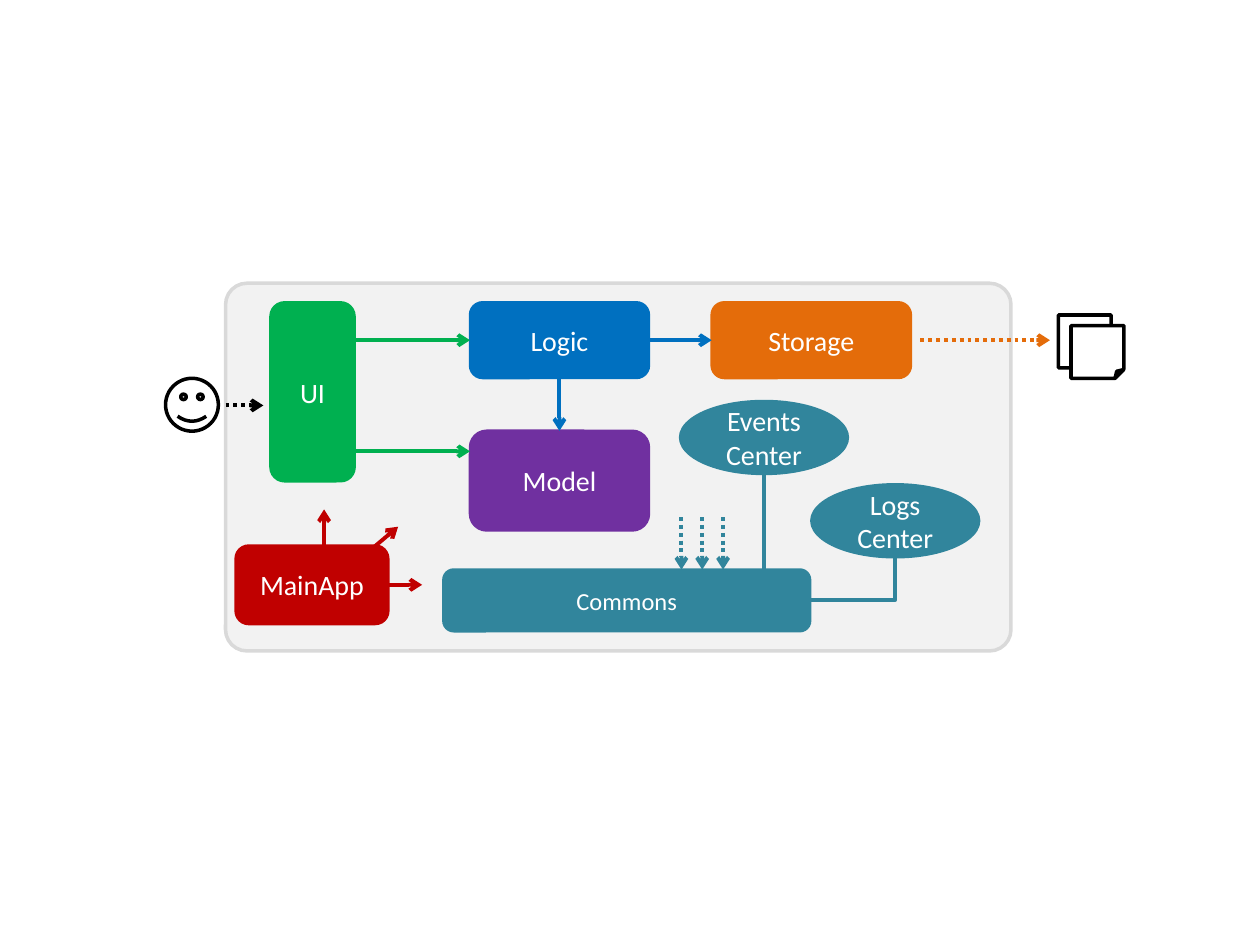
from pptx import Presentation
from pptx.dml.color import RGBColor
from pptx.enum.dml import MSO_LINE
from pptx.enum.shapes import MSO_CONNECTOR, MSO_SHAPE
from pptx.enum.text import MSO_ANCHOR, PP_ALIGN
from pptx.oxml.ns import qn
from pptx.util import Pt
from lxml import etree

ROUNDED, OVAL = MSO_SHAPE.ROUNDED_RECTANGLE, MSO_SHAPE.OVAL
SMILEY, FOLDED = MSO_SHAPE.SMILEY_FACE, MSO_SHAPE.FOLDED_CORNER
STRAIGHT, ELBOW = MSO_CONNECTOR.STRAIGHT, MSO_CONNECTOR.ELBOW
DOTTED = MSO_LINE.ROUND_DOT
CENTER, MIDDLE = PP_ALIGN.CENTER, MSO_ANCHOR.MIDDLE

COLORS = {
    "panel": "F2F2F2", "panel edge": "D9D9D9", "white": "FFFFFF", "black": "000000",
    "ui": "00B050", "logic": "0070C0", "storage": "E46C0A",
    "model": "7030A0", "commons": "31859C", "main": "C00000",
}

# Text, preset, color, font size, (left, top, width, height)
COMPONENTS = [
    ("UI", ROUNDED, "ui", 16, (154.6, 172.8, 48, 102.2)),
    ("Logic", ROUNDED, "logic", 16, (268.6, 172.8, 102.2, 43.2)),
    ("Storage", ROUNDED, "storage", 16, (406.7, 172.8, 113.8, 43.2)),
    ("Model", ROUNDED, "model", 16, (268.6, 246.2, 102.2, 56.9)),
    ("Commons", ROUNDED, "commons", 14, (253.4, 325.5, 209.5, 35.2)),
    ("MainApp", ROUNDED, "main", 16, (134.7, 311.8, 87.2, 44.8)),
    ("Events Center", OVAL, "commons", 16, (388.7, 229.2, 95.8, 41.6)),
    ("Logs\vCenter", OVAL, "commons", 16, (463.7, 276.8, 95.8, 41.6)),
]

ICON_SIZE = 30.2
ICONS = [(SMILEY, 94.6, 216.2), (FOLDED, 604.8, 180), (FOLDED, 612, 186)]

# Color, start, end
SOLID_ARROWS = [
    ("ui", (202.6, 194.4), (268.6, 194.4)),
    ("ui", (202.6, 257.9), (268.6, 257.9)),
    ("logic", (319.7, 216), (319.7, 246.2)),
    ("logic", (370.8, 194.4), (406.7, 194.4)),
    ("main", (221.9, 334.2), (241.2, 334.2)),
    ("main", (204.5, 320.4), (227.5, 301)),
    ("main", (185.2, 314.6), (185.2, 291.1)),
]
DOTTED_ARROWS = [
    ("black", (128.9, 231.7), (150.5, 231.7)),
    ("storage", (526, 194.4), (600, 194.4)),
] + [("commons", (389.4 + 11.9 * i, 295.5), (389.4 + 11.9 * i, 325.5)) for i in range(3)]

EVENTS_LINK = ((436.6, 270.8), (436.6, 325.5))
LOGS_LINK = ((511.6, 318.4), (462.9, 342.8))


def rgb(name):
    """Return the palette color with this name."""
    return RGBColor.from_string(COLORS[name])


def add_box(slide, preset, frame, fill, line, weight):
    """Add a filled and outlined preset shape."""
    shape = slide.shapes.add_shape(preset, *map(Pt, frame))
    shape.shadow.inherit = False
    shape.fill.solid()
    shape.fill.fore_color.rgb = rgb(fill)
    shape.line.color.rgb = rgb(line)
    shape.line.width = Pt(weight)
    return shape


def write_text(shape, text, size, color="white", font="Calibri"):
    """Write centered text into a shape."""
    frame = shape.text_frame
    frame.word_wrap = True
    frame.vertical_anchor = MIDDLE
    paragraph = frame.paragraphs[0]
    paragraph.text = text
    paragraph.alignment = CENTER
    for run in paragraph.runs:
        run.font.name = font
        run.font.size = Pt(size)
        run.font.color.rgb = rgb(color)


def add_line(slide, color, start, end, kind=STRAIGHT, arrow=True, dash=None):
    """Add a connector, with an optional arrowhead and dash."""
    connector = slide.shapes.add_connector(kind, *map(Pt, start + end))
    connector.line.color.rgb = rgb(color)
    connector.line.width = Pt(2.25)
    if dash:
        connector.line.dash_style = dash
    properties = connector._element.spPr
    if arrow:
        etree.SubElement(properties.find(qn("a:ln")), qn("a:tailEnd"), type="arrow")
    etree.SubElement(properties, qn("a:effectLst"))
    return connector


def add_corner(slide, color, start, end):
    """Add a one-bend connector that runs down, then left."""
    (x1, y1), (x2, y2) = start, end
    middle_x, middle_y = (x1 + x2) / 2, (y1 + y2) / 2
    half_width, half_height = (y2 - y1) / 2, (x1 - x2) / 2
    connector = add_line(
        slide, color,
        (middle_x - half_width, middle_y - half_height),
        (middle_x + half_width, middle_y + half_height),
        kind=ELBOW, arrow=False)
    properties = connector._element.spPr
    properties.find(qn("a:xfrm")).set("rot", str(90 * 60000))
    properties.find(qn("a:prstGeom")).set("prst", "bentConnector2")


def build():
    """Build and save the architecture slide."""
    presentation = Presentation()
    presentation.slide_width, presentation.slide_height = Pt(720), Pt(540)
    slide = presentation.slides.add_slide(presentation.slide_layouts[6])

    panel = add_box(slide, ROUNDED, (128.9, 161.9, 448.8, 210.1), "panel", "panel edge", 2)
    panel.adjustments[0] = 0.058
    for text, preset, color, size, frame in COMPONENTS:
        write_text(add_box(slide, preset, frame, color, color, 1.5), text, size)
    for preset, left, top in ICONS:
        add_box(slide, preset, (left, top, ICON_SIZE, ICON_SIZE), "white", "black", 2)

    for arrow in SOLID_ARROWS:
        add_line(slide, *arrow)
    for arrow in DOTTED_ARROWS:
        add_line(slide, *arrow, dash=DOTTED)
    add_line(slide, "commons", *EVENTS_LINK, arrow=False)
    add_corner(slide, "commons", *LOGS_LINK)
    presentation.save("out.pptx")


build()
